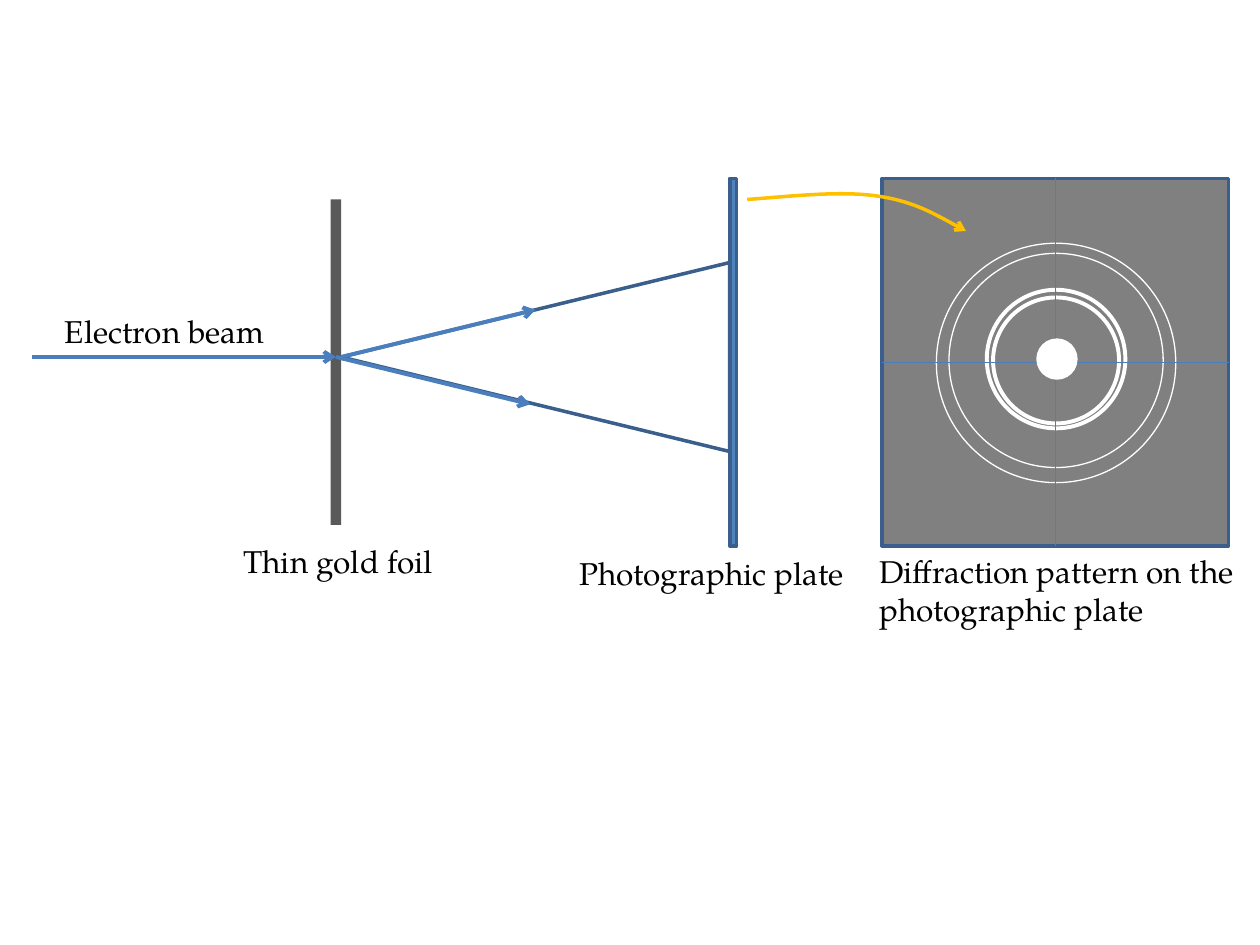
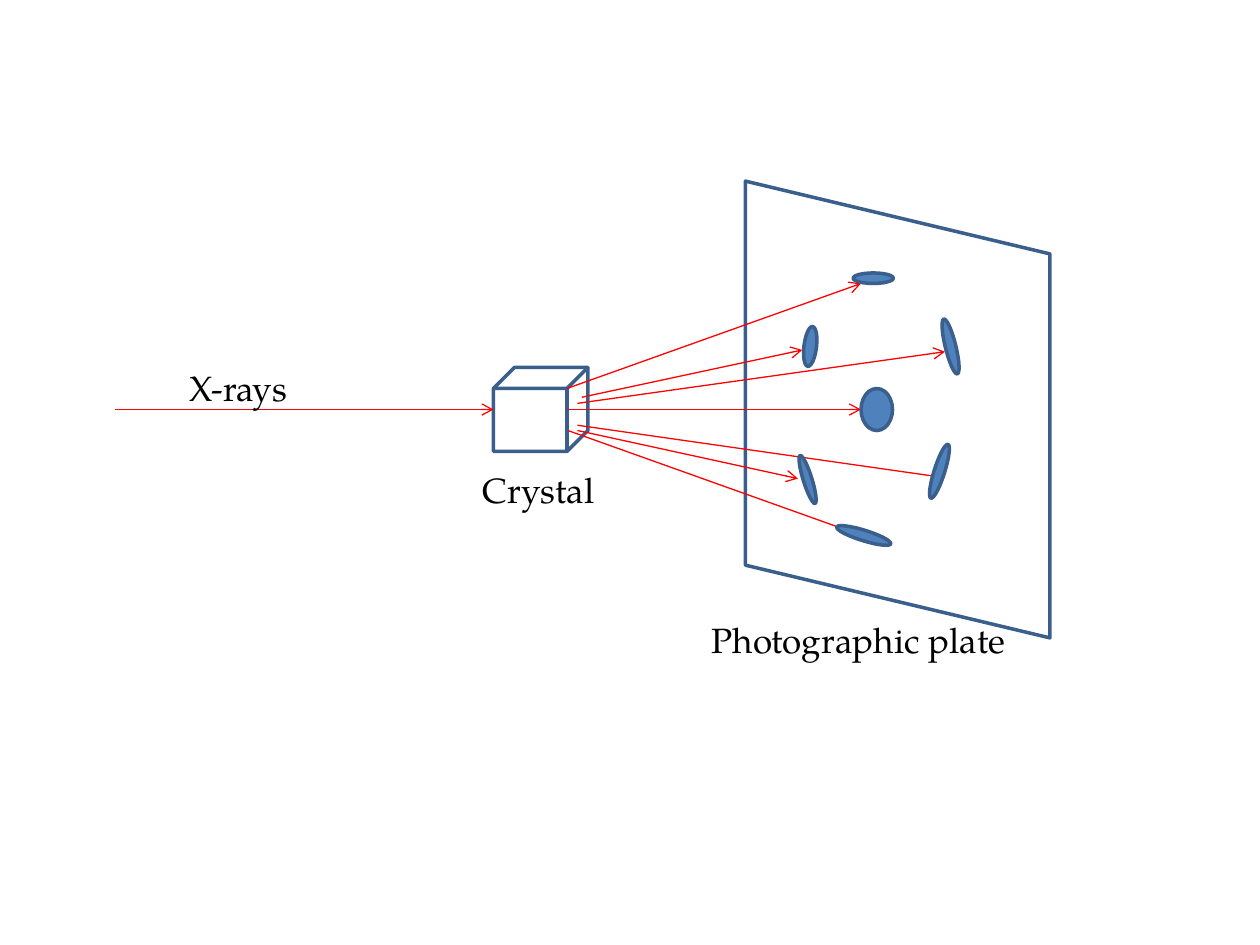
from lxml import etree
from pptx import Presentation
from pptx import util as u
from pptx.dml.color import RGBColor
from pptx.enum import shapes, text
from pptx.oxml.ns import qn

FONT = "TeX Gyre Pagella"
BLACK = RGBColor(0x00, 0x00, 0x00)
WHITE = RGBColor(0xFF, 0xFF, 0xFF)
FOIL_GREY = RGBColor(0x59, 0x59, 0x59)
SCREEN_GREY = RGBColor(0x80, 0x80, 0x80)
BLUE = RGBColor(0x4F, 0x81, 0xBD)
LINE_BLUE = RGBColor(0x4B, 0x7E, 0xBC)
EDGE_BLUE = RGBColor(0x3A, 0x5F, 0x8C)
RED = RGBColor(0xFF, 0x00, 0x00)
AMBER = RGBColor(0xFF, 0xC0, 0x00)

FRAME_FORMAT = {"word_wrap": False, "auto_size": text.MSO_AUTO_SIZE.SHAPE_TO_FIT_TEXT}
FORM = shapes.MSO_SHAPE


def add_form(page, kind, place, fill=None, edge=EDGE_BLUE, weight=2, turn=0):
    """Add a preset shape; place is left, top, width, height in points."""
    form = page.shapes.add_shape(kind, *map(u.Pt, place))
    form.shadow.inherit = False
    form.rotation = turn
    if fill is None:
        form.fill.background()
    else:
        form.fill.solid()
        form.fill.fore_color.rgb = fill
    if edge is None:
        form.line.fill.background()
    else:
        form.line.color.rgb = edge
        form.line.width = u.Pt(weight)
    return form


def add_line(page, start, end, color, weight, arrow=True):
    """Add a straight connector between two points, in points."""
    line = page.shapes.add_connector(
        shapes.MSO_CONNECTOR.STRAIGHT, *map(u.Pt, (*start, *end)))
    line.line.color.rgb = color
    line.line.width = u.Pt(weight)
    properties = line.element.spPr
    if arrow:
        etree.SubElement(properties.find(qn("a:ln")), qn("a:tailEnd"), type="arrow")
    etree.SubElement(properties, qn("a:effectLst"))
    return line


deck = Presentation()
deck.slide_width, deck.slide_height = u.Pt(720), u.Pt(540)
electron_page, xray_page = (
    deck.slides.add_slide(deck.slide_layouts[6]) for _ in range(2))

# Electron diffraction: foil, beam, scattered cone and plate
add_form(electron_page, FORM.RECTANGLE, (189, 114, 6, 186), FOIL_GREY, None)
add_line(electron_page, (18, 204), (192, 204), LINE_BLUE, 2.25)
add_form(electron_page, FORM.ISOSCELES_TRIANGLE, (252, 93, 108, 222), turn=270)
add_form(electron_page, FORM.RECTANGLE, (417, 102, 4, 210), BLUE)
for start, end in [((195, 204), (306, 177)), ((192, 204), (303, 231))]:
    add_line(electron_page, start, end, LINE_BLUE, 2.25)

# Diffraction pattern: rings, cross lines, central spot
screen = add_form(electron_page, FORM.RECTANGLE, (504, 102, 198, 210), SCREEN_GREY)
center_x = 603.5
for center_y, size, weight in [(205.2, 79.2, 2.25), (206, 72, 2.25),
                               (206, 122.4, 0.75), (207.4, 136.8, 0.75)]:
    add_form(electron_page, FORM.OVAL,
             (center_x - size / 2, center_y - size / 2, size, size),
             edge=WHITE, weight=weight)
for first_side, last_side in [(0, 2), (1, 3)]:
    cross = add_line(electron_page, (504, 102), (702, 312), LINE_BLUE, 0.75, arrow=False)
    cross.begin_connect(screen, first_side)
    cross.end_connect(screen, last_side)
add_form(electron_page, FORM.OVAL, (593.2, 194.4, 21.6, 21.6), WHITE, WHITE)

# Curved arrow from plate to pattern: each three vertices make one Bézier segment
builder = electron_page.shapes.build_freeform(427, 113.8, scale=u.Pt(1))
builder.add_line_segments(
    [(453.6, 111.6), (480.2, 109.4), (501.1, 112.3),
     (522, 115.2), (537.1, 123.8), (552.2, 131.8)], close=False)
curve = builder.convert_to_shape()
curve.shadow.inherit = False
curve.fill.background()
curve.line.color.rgb = AMBER
curve.line.width = u.Pt(2)
etree.SubElement(curve.element.spPr.find(qn("a:ln")), qn("a:tailEnd"), type="arrow")
segments = list(curve.element.iter(qn("a:lnTo")))
for index in range(0, len(segments), 3):
    bezier = etree.Element(qn("a:cubicBezTo"))
    segments[index].addprevious(bezier)
    for segment in segments[index:index + 3]:
        bezier.append(segment[0])
        segment.getparent().remove(segment)

# X-ray diffraction: crystal, rays, plate and spots
add_form(xray_page, FORM.CUBE, (282, 210, 54, 48))
plate = add_form(xray_page, FORM.PARALLELOGRAM, (382.5, 147, 261, 174), turn=270)
plate.adjustments[0] = 0.239
for start, end in [
    ((66, 234), (282, 234)),
    ((324, 222), (492, 162)),
    ((324, 234), (492, 234)),
    ((324.5, 246), (492.5, 306)),
    ((330, 243), (540, 273)),
    ((330, 230.5), (540, 201)),
    ((332.5, 227), (458.5, 200)),
    ((330, 246), (456, 273.5)),
]:
    add_line(xray_page, start, end, RED, 0.75)
for spot_x, spot_y, width, height, turn in [
    (501, 234, 18, 24, 0),
    (543.2, 198, 32.4, 6, 76.1),
    (499, 159, 23, 6, 0),
    (536.8, 269.3, 32.4, 6, 107.6),
    (493.6, 306, 32.4, 6, 17.3),
    (463, 198, 23, 7.2, 276.9),
    (461.5, 274, 28.8, 5, 252.7),
]:
    add_form(xray_page, FORM.OVAL,
             (spot_x - width / 2, spot_y - height / 2, width, height), BLUE, turn=turn)

# Labels of both pages
for page, size, labels in [
    (electron_page, 18, [
        ((324, 313, 168, 29), ["Photographic plate"]),
        ((132, 306, 124.5, 29), ["Thin gold foil"]),
        ((30, 175, 129.5, 29), ["Electron beam"]),
        ((495.5, 312, 224.5, 51), ["Diffraction pattern on the", "photographic plate"]),
    ]),
    (xray_page, 20, [
        ((268.5, 264, 79, 31.5), ["Crystal"]),
        ((399.5, 350, 184.5, 31.5), ["Photographic plate"]),
        ((101.5, 206, 72.5, 31.5), ["X-rays"]),
    ]),
]:
    font_format = {"name": FONT, "size": u.Pt(size)}
    for place, lines in labels:
        box = page.shapes.add_textbox(*map(u.Pt, place))
        frame = box.text_frame
        for key, value in FRAME_FORMAT.items():
            setattr(frame, key, value)
        frame.text = "\n".join(lines)
        for para in frame.paragraphs:
            for span in para.runs:
                for key, value in font_format.items():
                    setattr(span.font, key, value)
                span.font.color.rgb = BLACK

deck.save("out.pptx")
